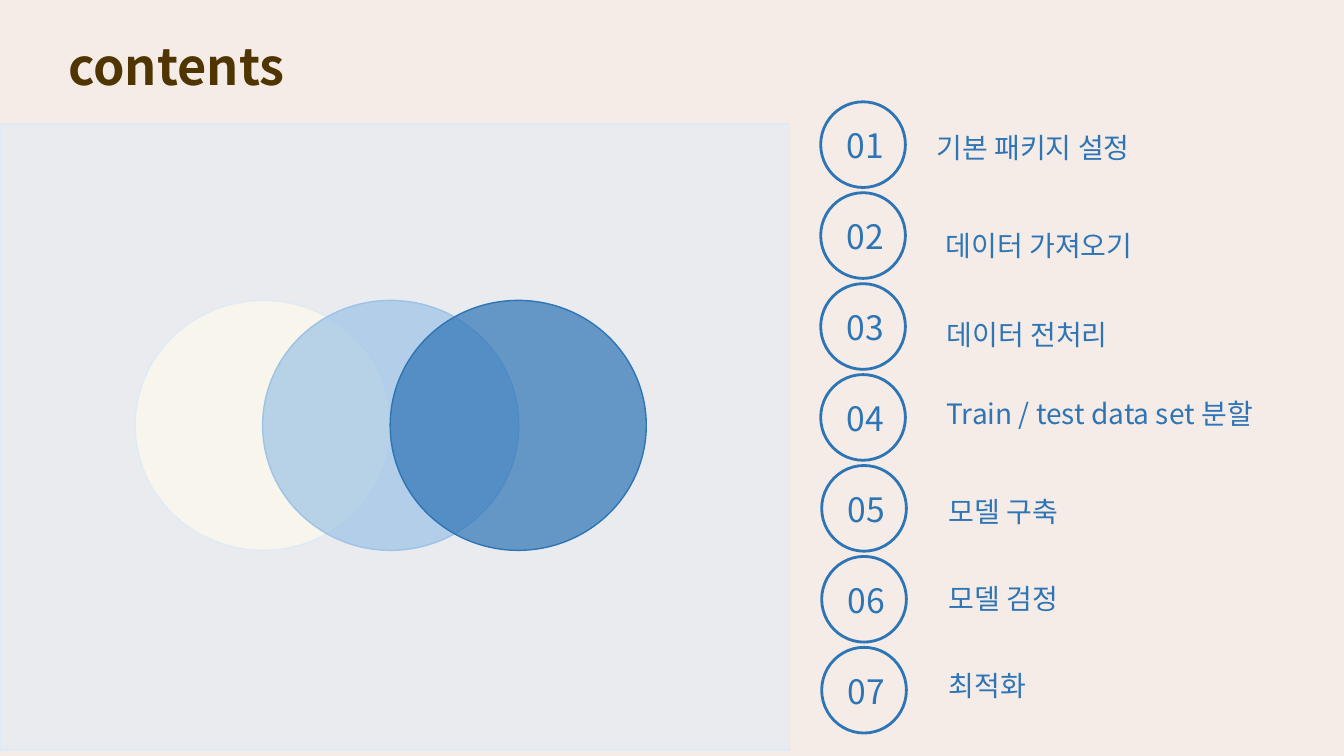
from dataclasses import dataclass

from lxml import etree
from pptx import Presentation
from pptx.dml.color import RGBColor
from pptx.enum.shapes import MSO_SHAPE
from pptx.enum.text import MSO_AUTO_SIZE
from pptx.oxml.ns import qn
from pptx.util import Inches, Pt

RECTANGLE = MSO_SHAPE.RECTANGLE
OVAL = MSO_SHAPE.OVAL
FIT_SHAPE = MSO_AUTO_SIZE.SHAPE_TO_FIT_TEXT


@dataclass(frozen=True)
class Theme:
    font: str = "Noto Sans CJK KR"
    background: str = "F5ECE7"
    title: str = "4F3501"
    cream: str = "FFFAEB"
    pale: str = "DEEBF7"
    sky: str = "9DC3E6"
    blue: str = "2E75B6"
    title_size: int = 36
    number_size: int = 24
    item_size: int = 20


class ContentsSlide:
    """Draws styled elements on one slide."""

    def __init__(self, presentation, theme):
        self.theme = theme
        self.slide = presentation.slides.add_slide(presentation.slide_layouts[6])
        fill = self.slide.background.fill
        fill.solid()
        fill.fore_color.rgb = RGBColor.from_string(theme.background)

    def shape(self, kind, box, line, line_width=1, fill=None, opacity=100):
        shape = self.slide.shapes.add_shape(kind, *map(Inches, box))
        shape.shadow.inherit = False
        shape.line.color.rgb = RGBColor.from_string(line)
        shape.line.width = Pt(line_width)
        if fill is None:
            shape.fill.background()
            return
        shape.fill.solid()
        shape.fill.fore_color.rgb = RGBColor.from_string(fill)
        color = shape.fill._xPr.find(qn("a:solidFill"))[0]
        etree.SubElement(color, qn("a:alpha"), val=str(opacity * 1000))

    def text(self, words, box, size, color, bold=False):
        text_frame = self.slide.shapes.add_textbox(*map(Inches, box)).text_frame
        text_frame.word_wrap = True
        text_frame.auto_size = FIT_SHAPE
        text_frame.text = words
        run = text_frame.paragraphs[0].runs[0]
        run.font.name = self.theme.font
        run.font.size = Pt(size)
        run.font.bold = bold
        run.font.color.rgb = RGBColor.from_string(color)
        latin = run.font._element.find(qn("a:latin"))
        latin.addnext(latin.makeelement(qn("a:ea"), {"typeface": self.theme.font}))

    def item(self, number, words, circle_left, text_left, text_top):
        theme = self.theme
        top = 1.01 + 0.902 * (number - 1)
        self.text(words, (text_left, text_top, 3.76, 0.44), theme.item_size, theme.blue)
        self.shape(OVAL, (circle_left, top, 0.84, 0.85), theme.blue, 2)
        self.text(f"{number:02}", (circle_left + 0.16, top + 0.18, 0.84, 0.5),
                  theme.number_size, theme.blue)


def main():
    presentation = Presentation()
    presentation.slide_width = Inches(13.33)
    presentation.slide_height = Inches(7.5)
    theme = Theme()
    contents = ContentsSlide(presentation, theme)

    contents.shape(RECTANGLE, (0, 1.23, 7.83, 6.21), theme.pale, fill=theme.pale, opacity=50)
    circles = [(theme.cream, theme.pale), (theme.sky, theme.sky), (theme.blue, theme.blue)]
    for index, (fill, line) in enumerate(circles):
        box = (1.34 + 1.265 * index, 2.98, 2.54, 2.48)
        contents.shape(OVAL, box, line, fill=fill, opacity=71)

    contents.text("contents", (0.58, 0.3, 3.76, 0.71), theme.title_size, theme.title, bold=True)
    items = [
        ("기본 패키지 설정", 8.14, 9.19, 1.25),
        ("데이터 가져오기", 8.14, 9.28, 2.22),
        ("데이터 전처리", 8.14, 9.29, 3.1),
        ("Train / test data set 분할", 8.14, 9.29, 3.88),
        ("모델 구축", 8.15, 9.31, 4.86),
        ("모델 검정", 8.15, 9.31, 5.72),
        ("최적화", 8.15, 9.31, 6.58),
    ]
    for number, item in enumerate(items, 1):
        contents.item(number, *item)

    presentation.save("out.pptx")


if __name__ == "__main__":
    main()
